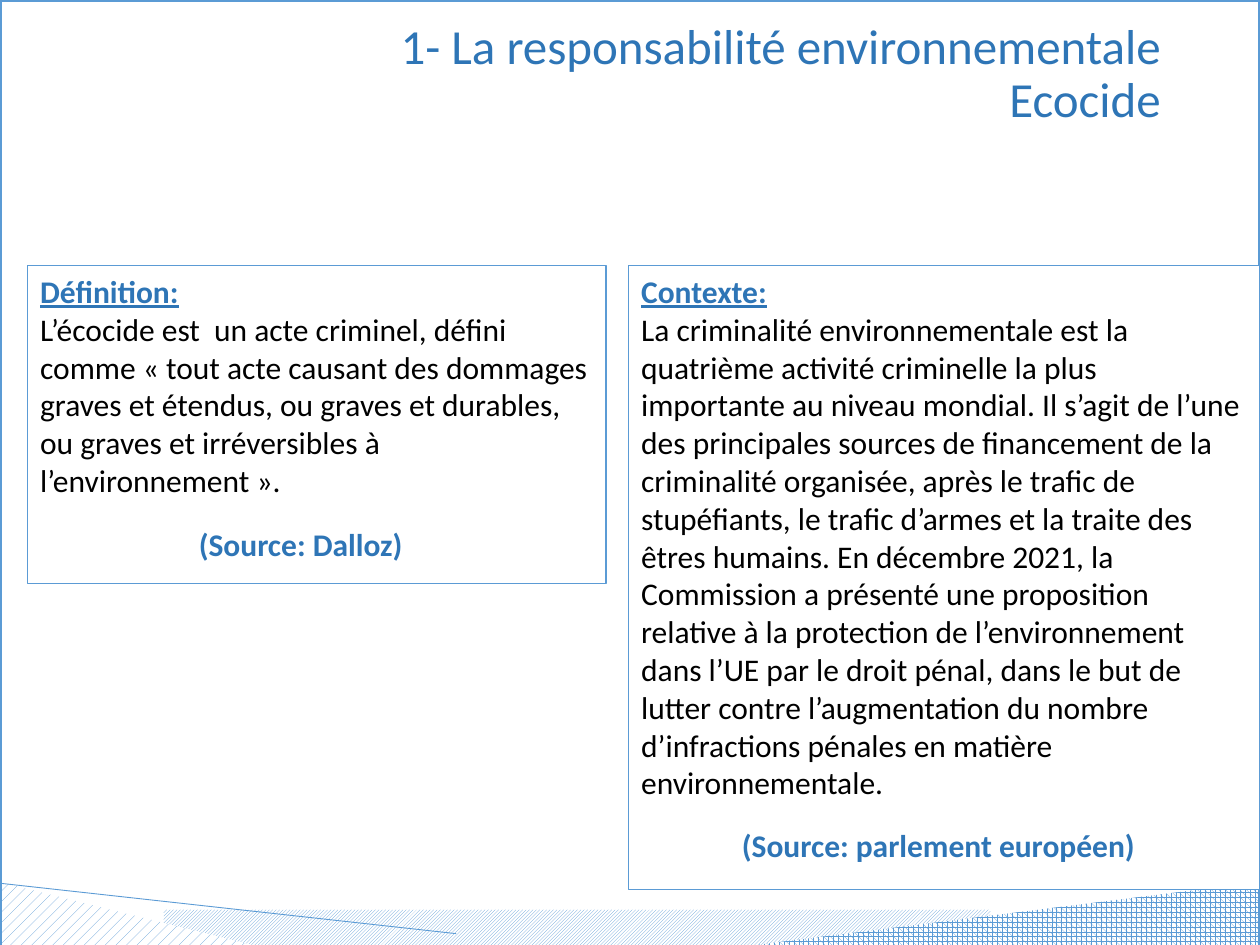
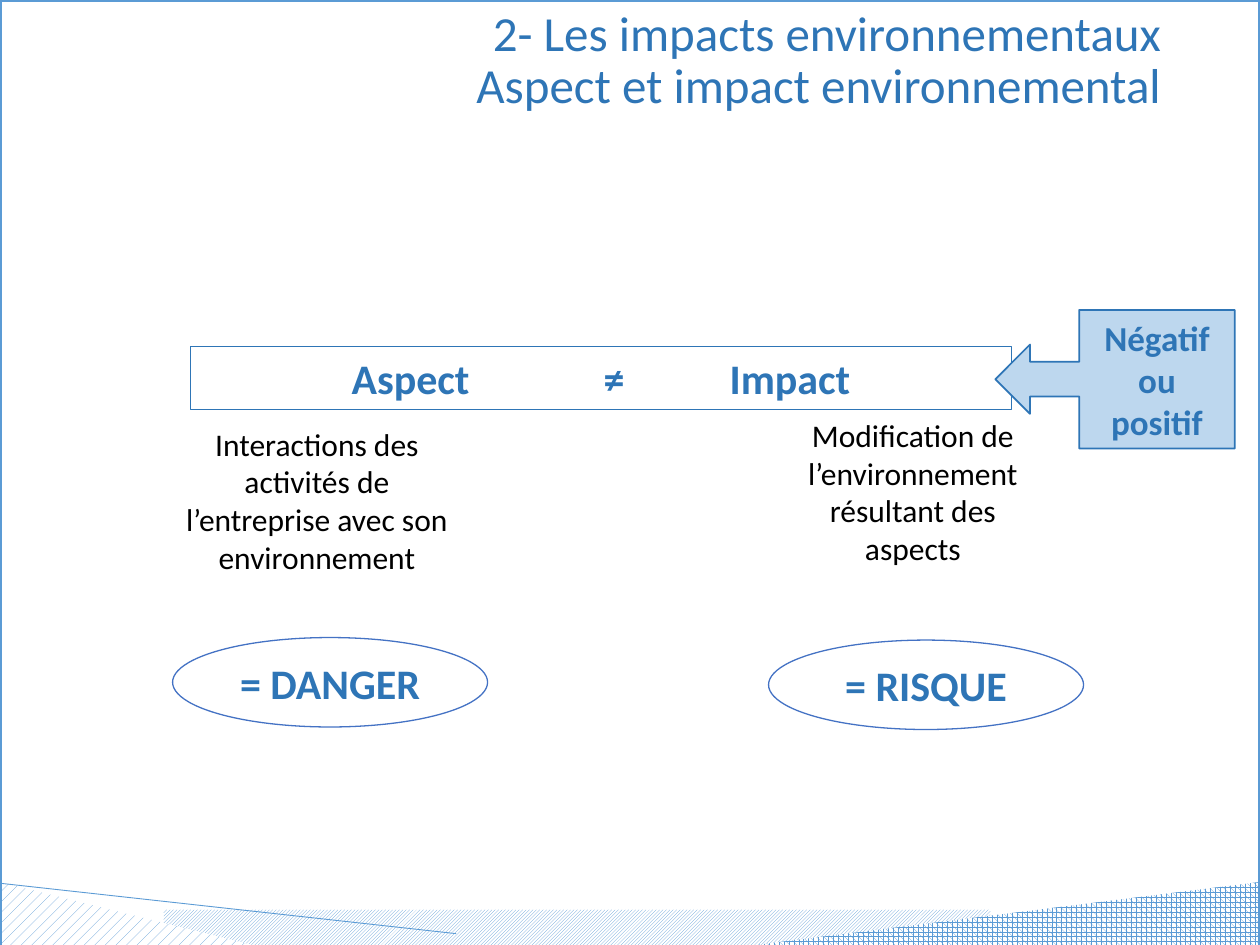
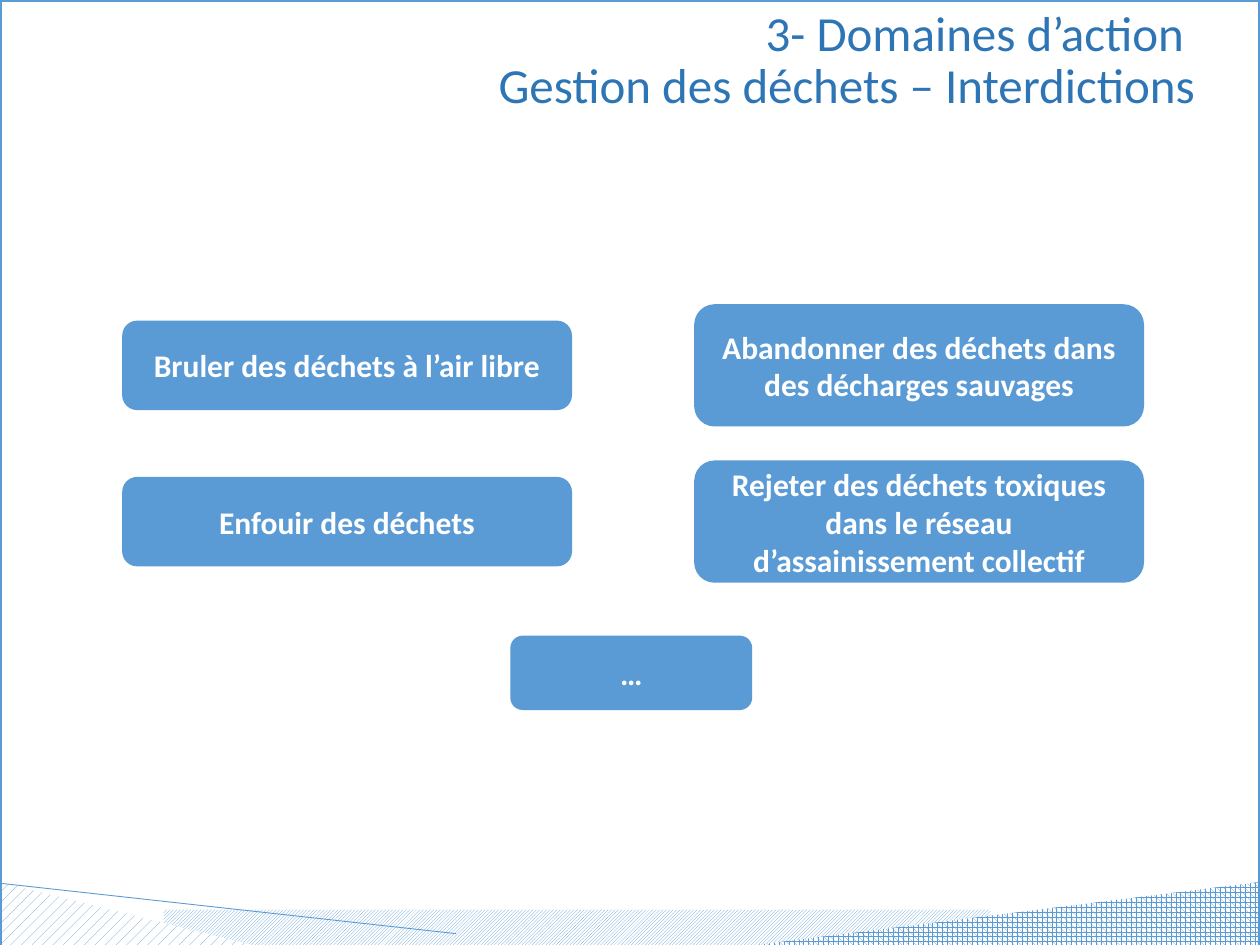
from pptx import Presentation
from pptx.dml.color import RGBColor
from pptx.enum import dml, shapes, text
from pptx.oxml.ns import qn
from pptx.util import Inches, Pt
from lxml import etree

FONT = "Calibri"
BLUE, DARK_BLUE, PALE_BLUE, OVAL_BLUE = "5B9BD5", "2E75B6", "BDD7EE", "4472C4"
BLACK, WHITE = "000000", "FFFFFF"
SHAPE, ALIGN, ANCHOR = shapes.MSO_SHAPE, text.PP_ALIGN, text.MSO_ANCHOR
PATTERN = dml.MSO_PATTERN


def rgb(value):
    return RGBColor.from_string(value)


# Shared helpers
def style(sp, fill=None, line=None, width=0.75, pattern=None):
    sp.shadow.inherit = False
    if pattern is not None:
        sp.fill.patterned()
        sp.fill.pattern = pattern
        sp.fill.fore_color.rgb = rgb(BLUE)
        sp.fill.back_color.rgb = rgb(WHITE)
    elif fill:
        sp.fill.solid()
        sp.fill.fore_color.rgb = rgb(fill)
    else:
        sp.fill.background()
    if line:
        sp.line.color.rgb = rgb(line)
        sp.line.width = Pt(width)
    else:
        sp.line.fill.background()
    return sp


def add_box(s, kind, box, **look):
    return style(s.shapes.add_shape(kind, *map(Inches, box)), **look)


def add_text_box(s, box):
    return s.shapes.add_textbox(*map(Inches, box))


def write(sp, content, size=18, color=BLACK, bold=False, underline=False,
          align=ALIGN.LEFT, anchor=ANCHOR.TOP, spacing=None, wrap=True, add=False):
    """Write paragraphs separated by newlines; a vertical tab breaks a line."""
    tf = sp.text_frame
    tf.word_wrap = wrap
    tf.vertical_anchor = anchor
    for i, line in enumerate(content.split("\n")):
        p = tf.add_paragraph() if add or i else tf.paragraphs[0]
        p.text = line
        p.alignment = align
        if spacing:
            p.line_spacing = spacing
        for r in p.runs:
            f = r.font
            f.name, f.size, f.bold, f.underline = FONT, Pt(size), bold, underline
            f.color.rgb = rgb(color)


def add_outline(s, points, pattern):
    builder = s.shapes.build_freeform(*points[0], scale=Inches(1))
    builder.add_line_segments(points[1:], close=True)
    return style(builder.convert_to_shape(), pattern=pattern)


# Frame, footer band and title on every slide
def add_frame(s):
    add_box(s, SHAPE.RECTANGLE, (1.3, 7.22, 6.56, 0.32),
            pattern=PATTERN.LIGHT_UPWARD_DIAGONAL)
    add_outline(s, [(0, 7.01), (4.37, 7.5), (4.28, 7.52), (0, 7.52)],
                PATTERN.PERCENT_20)
    add_outline(s, [(2.27, 7.51), (9.99, 7.01), (10, 7.52), (2.19, 7.52)],
                PATTERN.SPHERE)
    edge = s.shapes.add_connector(shapes.MSO_CONNECTOR.STRAIGHT,
                                  *map(Inches, (0, 7.01, 3.62, 7.41)))
    edge.line.color.rgb = rgb(BLUE)
    edge.line.width = Pt(0.5)
    etree.SubElement(edge.element.spPr, qn("a:effectLst"))
    add_box(s, SHAPE.RECTANGLE, (0, 0, 10, 7.52), line=BLUE, width=2.25)


def new_slide(prs, title, width=8.62, anchor=ANCHOR.TOP):
    s = prs.slides.add_slide(prs.slide_layouts[6])
    add_frame(s)
    write(add_text_box(s, (0.69, 0.02, width, 1.16)), title, size=28,
          color=DARK_BLUE, align=ALIGN.RIGHT, anchor=anchor, spacing=0.9)
    return s


# Slide 1: framed text with its source near the bottom
def add_sourced_panel(s, box, heading, body, source, source_left, source_width,
                      source_gap, fill=None):
    x, y, w, h = box
    panel = add_box(s, SHAPE.RECTANGLE, box, fill=fill, line=BLUE)
    write(panel, heading, color=DARK_BLUE, bold=True, underline=True)
    write(panel, body, add=True)
    label = add_box(s, SHAPE.RECTANGLE,
                    (x + source_left, y + h - source_gap, source_width, 0.4),
                    fill=WHITE)
    write(label, source, color=DARK_BLUE, bold=True, wrap=False)


def ecocide_slide(prs):
    s = new_slide(prs, "1- La responsabilité environnementale\nEcocide",
                  anchor=ANCHOR.MIDDLE)
    add_sourced_panel(
        s, (4.99, 2.11, 5.01, 4.95), "Contexte:",
        "La criminalité environnementale est la quatrième activité criminelle la plus "
        "importante au niveau mondial. Il s’agit de l’une des principales sources de "
        "financement de la criminalité organisée, après le trafic de stupéfiants, le "
        "trafic d’armes et la traite des êtres humains. En décembre 2021, la Commission "
        "a présenté une proposition relative à la protection de l’environnement dans "
        "l’UE par le droit pénal, dans le but de lutter contre l’augmentation du nombre "
        "d’infractions pénales en matière environnementale.",
        "(Source: parlement européen)", 0.8, 3.34, 0.55, fill=WHITE)
    add_sourced_panel(
        s, (0.22, 2.11, 4.59, 2.52), "Définition:",
        "L’écocide est  un acte criminel, défini comme « tout acte causant des dommages "
        "graves et étendus, ou graves et durables, ou graves et irréversibles à "
        "l’environnement ».",
        "(Source: Dalloz)", 1.26, 1.83, 0.51)


# Slide 2: explanation above its equivalent term
def add_notion(s, box, explanation, term, term_drop):
    x, y, w, h = box
    write(add_text_box(s, box), explanation, align=ALIGN.CENTER)
    oval = add_box(s, SHAPE.OVAL, (x, y + term_drop, 2.5, 0.71), line=OVAL_BLUE)
    write(oval, term, size=24, color=DARK_BLUE, bold=True, align=ALIGN.CENTER,
          anchor=ANCHOR.MIDDLE)


def impact_slide(prs):
    s = new_slide(prs, "2- Les impacts environnementaux\vAspect et impact environnemental")
    bar = add_box(s, SHAPE.RECTANGLE, (1.51, 2.75, 6.52, 0.5), line=DARK_BLUE)
    write(bar, "Aspect\t\t\t≠\t\tImpact", size=24, color=DARK_BLUE, bold=True,
          align=ALIGN.CENTER)
    add_notion(s, (1.37, 3.32, 2.29, 1.31),
               "Interactions des activités de l’entreprise avec son environnement",
               "= DANGER", 1.74)
    add_notion(s, (6.1, 3.25, 2.29, 1.31),
               "Modification de l’environnement résultant des aspects",
               "= RISQUE", 1.83)
    callout = add_box(s, SHAPE.LEFT_ARROW_CALLOUT, (7.9, 2.46, 1.9, 1.1),
                      fill=PALE_BLUE, line=DARK_BLUE, width=1)
    write(callout, "Négatif ou positif", size=20, color=DARK_BLUE, bold=True,
          align=ALIGN.CENTER, anchor=ANCHOR.MIDDLE)


# Slide 3: rows of forbidden practices, each card centred on its row
def add_card(s, x, middle, w, h, label):
    card = add_box(s, SHAPE.ROUNDED_RECTANGLE, (x, middle - h / 2, w, h), fill=BLUE)
    write(card, label, color=WHITE, bold=True, align=ALIGN.CENTER, anchor=ANCHOR.MIDDLE)


def waste_slide(prs):
    s = new_slide(prs, "3- Domaines d’action \vGestion des déchets – Interdictions",
                  width=8.89)
    rows = [
        ("Bruler des déchets à l’air libre",
         "Abandonner des déchets dans des décharges sauvages"),
        ("Enfouir des déchets",
         "Rejeter des déchets toxiques dans le réseau d’assainissement collectif"),
    ]
    for i, (left, right) in enumerate(rows):
        middle = 2.9 + 1.24 * i
        add_card(s, 0.97, middle, 3.57, 0.71, left)
        add_card(s, 5.51, middle, 3.57, 0.97, right)
    add_card(s, 4.05, 5.34, 1.92, 0.59, "…")


def main():
    prs = Presentation()
    prs.slide_width, prs.slide_height = Inches(10), Inches(7.5)
    for build in (ecocide_slide, impact_slide, waste_slide):
        build(prs)
    prs.save("out.pptx")


if __name__ == "__main__":
    main()
